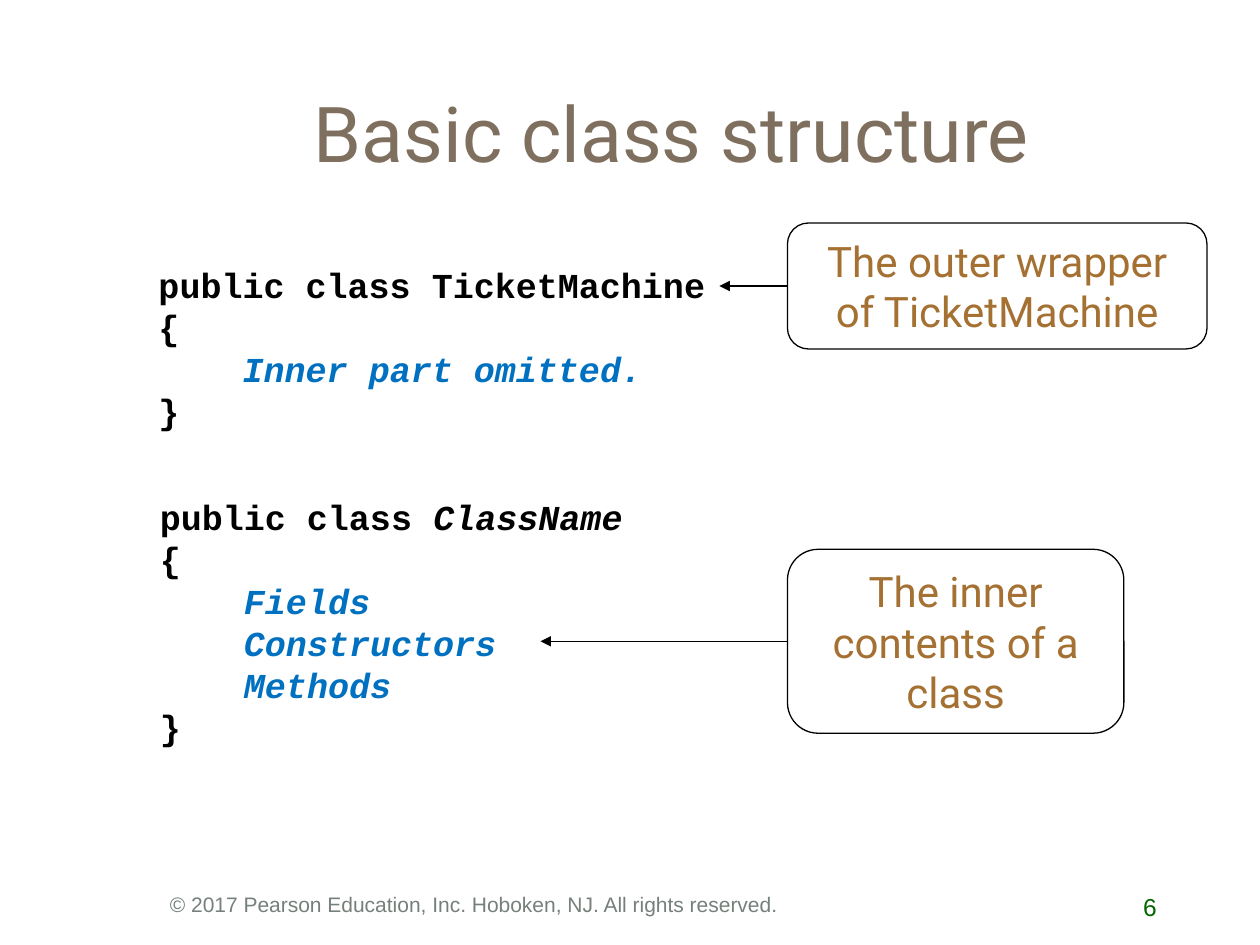
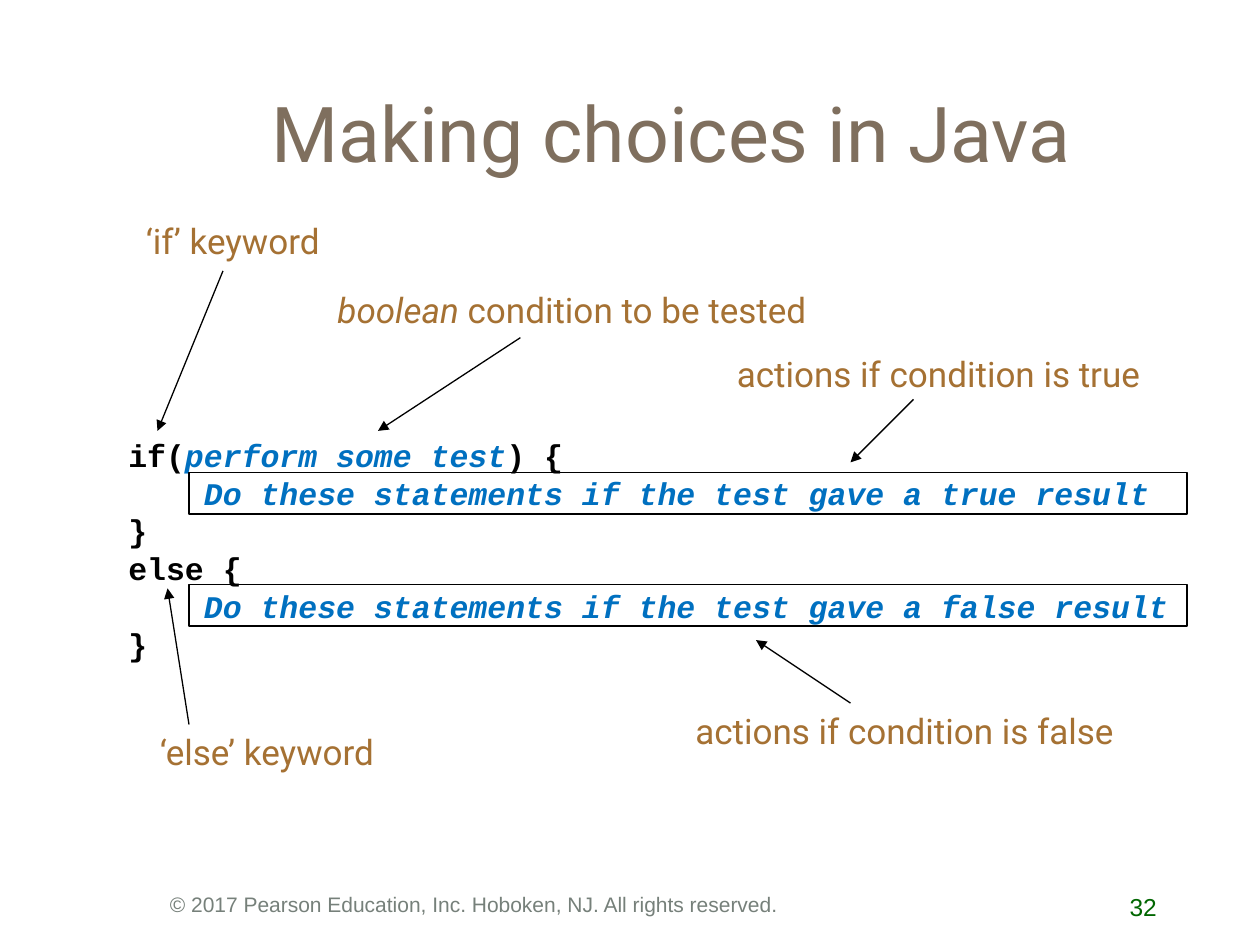
from lxml import etree
from pptx import Presentation
from pptx import util as u
from pptx.dml.color import RGBColor
from pptx.enum import shapes, text
from pptx.oxml import ns

PX = 9144  # 100 px to the inch
HUE = {"title": "7F6F5E", "note": "A57133", "code": "000000", "slot": "0070C0",
       "foot": "76807A", "page": "006600", "line": "000000"}
# font, size, bold, colour
LOOK = {"title": ("Roboto", 44, False, "title"), "call": ("Roboto", 24, False, "note"),
        "note": ("Roboto", 20, False, "note"), "code": ("Courier New", 20, True, "code"),
        "small": ("Courier New", 18, True, "code"), "foot": ("Arial", 12, False, "foot"),
        "page": ("Arial", 14, False, "page")}
MID = text.MSO_ANCHOR.MIDDLE
LEFT, CENTER, RIGHT = text.PP_ALIGN.LEFT, text.PP_ALIGN.CENTER, text.PP_ALIGN.RIGHT


def write(slide, box, look, lines, align=LEFT, anchor=text.MSO_ANCHOR.TOP, kind=None):
    """Each line is a list of runs; a (words, hue) pair is an italic run."""
    area = [n * PX for n in box]
    if kind:
        shape = slide.shapes.add_shape(kind, *area)
        shape.shadow.inherit = False
        shape.fill.background()
        shape.line.color.rgb = RGBColor.from_string(HUE["line"])
        shape.line.width = u.Pt(0.75)
    else:
        shape = slide.shapes.add_textbox(*area)
    frame = shape.text_frame
    frame.word_wrap = True
    frame.vertical_anchor = anchor
    face, size, bold, hue = LOOK[look]
    for i, line in enumerate(lines):
        para = frame.add_paragraph() if i else frame.paragraphs[0]
        para.alignment = align
        para.font.name, para.font.size, para.font.bold = face, u.Pt(size), bold
        para.font.color.rgb = RGBColor.from_string(HUE[hue])
        for part in line:
            run = para.add_run()
            if isinstance(part, tuple):
                run.text = part[0]
                run.font.italic = True
                run.font.color.rgb = RGBColor.from_string(HUE[part[1]])
            else:
                run.text = part
    return shape


def arrow(slide, *ends):
    line = slide.shapes.add_connector(shapes.MSO_CONNECTOR.STRAIGHT, *[n * PX for n in ends])
    line.line.color.rgb = RGBColor.from_string(HUE["line"])
    line.line.width = u.Pt(0.75)
    etree.SubElement(line.line._get_or_add_ln(), ns.qn("a:tailEnd"), type="triangle")
    etree.SubElement(line._element.spPr, ns.qn("a:effectLst"))
    return line


deck = Presentation()
deck.slide_width, deck.slide_height = 1000 * PX, 750 * PX

# Shared title, footer and page number
pages = []
for title, page in (("Basic class structure", "6"), ("Making choices in Java", "32")):
    slide = deck.slides.add_slide(deck.slide_layouts[6])
    write(slide, (108, 42, 850, 125), "title", [[title]], CENTER, MID)
    write(slide, (125, 703, 740, 33), "foot",
          [["© 2017 Pearson Education, Inc. Hoboken, NJ. All rights reserved."]])
    write(slide, (875, 703, 53, 33), "page", [[page]], RIGHT)
    pages.append(slide)
first, second = pages

# Class outlines
write(first, (116, 204, 470, 145), "code", [
    ["public class TicketMachine"],
    ["{"],
    ["    ", ("Inner part omitted.", "slot")],
    ["}"]])
write(first, (117, 388, 400, 212), "code", [
    ["public class ", ("ClassName", "code")],
    ["{"],
    *[["    ", (name, "slot")] for name in ("Fields", "Constructors", "Methods")],
    ["}"]])

# Callouts, each with an arrow from the middle of its left side
for words, top, wide, high, tip in (
        ("The outer wrapper of TicketMachine", 177, 333, 100, 571),
        ("The inner contents of a class", 436, 267, 146, 429)):
    box = write(first, (625, top, wide, high), "call", [[words]], CENTER, MID,
                shapes.MSO_SHAPE.ROUNDED_RECTANGLE)
    mid = top + high // 2
    arrow(first, 625, mid, tip, mid).begin_connect(box, 1)

# Conditional statement
deed = "Do these statements if the test gave a {} result"
write(second, (92, 341, 860, 190), "small", [
    ["if(", ("perform some test", "slot"), ") {"],
    ["    ", (deed.format("true"), "slot")],
    ["}"],
    ["else {"],
    ["    ", (deed.format("false"), "slot")],
    ["}"]])

# Frames round the two actions
for top in (375, 464):
    write(second, (150, top, 792, 33), "small", [], kind=shapes.MSO_SHAPE.RECTANGLE)

# Notes and their arrows
for left, top, wide, line, ends in (
        (106, 169, 190, ["‘if’ keyword"], (177, 215, 125, 342)),
        (258, 224, 417, [("boolean", "note"), " condition to be tested"], (413, 268, 300, 342)),
        (575, 275, 370, ["actions if condition is true"], (725, 317, 675, 367)),
        (542, 558, 380, ["actions if condition is false"], (675, 558, 600, 508)),
        (117, 575, 220, ["‘else’ keyword"], (150, 575, 133, 467))):
    write(second, (left, top, wide, 43), "note", [line])
    arrow(second, *ends)

deck.save("out.pptx")
